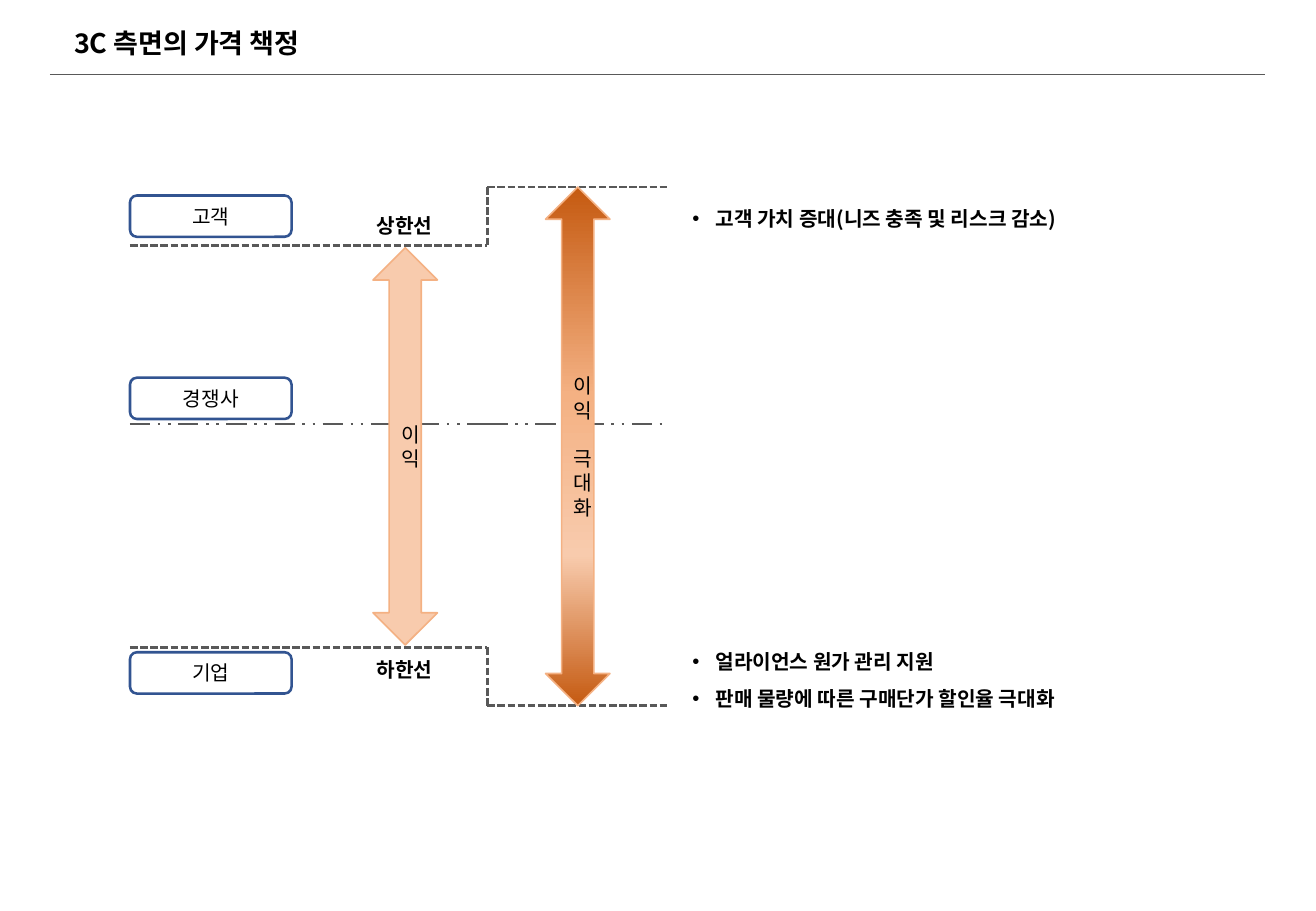
from dataclasses import dataclass

from lxml.etree import SubElement
from pptx import Presentation
from pptx.dml.color import RGBColor
from pptx.enum.dml import MSO_LINE
from pptx.enum.shapes import MSO_CONNECTOR, MSO_SHAPE
from pptx.enum.text import MSO_ANCHOR, MSO_AUTO_SIZE, PP_ALIGN
from pptx.oxml.ns import qn
from pptx.util import Emu, Inches, Pt


@dataclass(frozen=True)
class Theme:
    font: str = "Noto Sans CJK KR"
    title: float = 16
    body: float = 12
    ink: str = "000000"
    paper: str = "FFFFFF"
    rule: str = "595959"
    box: str = "325491"
    arrow: str = "F8CBAD"
    edge: str = "F4B183"
    deep: str = "C55A11"


T = Theme()
SIZE = 10.83, 7.5
COL = {"rule": 0.41, "box": 1.07, "label": 3.0, "profit": 3.07, "step": 4.01,
       "max": 4.49, "end": 5.5, "notes": 5.6, "right": 10.41}
ROW = {"rule": 0.61, "raised": 1.54, "upper": 2.02, "rival": 3.49,
       "lower": 5.33, "cut": 5.81}
BOX_W, BOX_H, ARROW_W = 1.33, 0.34, 0.53
DASH, LONG = MSO_LINE.SQUARE_DOT, MSO_LINE.DASH_DOT_DOT

TITLE = "3C 측면의 가격 책정"
LINES = [
    ("rule", "rule", "right", "rule", None),
    ("box", "upper", "step", "upper", DASH),
    ("box", "rival", "step", "rival", LONG),
    ("box", "lower", "step", "lower", DASH),
    ("step", "raised", "end", "raised", DASH),
    ("step", "cut", "end", "cut", DASH),
    ("step", "rival", "end", "rival", LONG),
    ("step", "raised", "step", "upper", DASH),
    ("step", "lower", "step", "cut", DASH),
]
BOXES = [("고객", "upper", -0.07 - BOX_H), ("경쟁사", "rival", -0.04 - BOX_H),
         ("기업", "lower", 0.04)]
LABELS = [("상한선", "upper", -0.31), ("하한선", "lower", 0.03)]
ARROWS = [
    (["이익"], "profit", "upper", "lower", 0.02, None),
    (["이익", "극대화"], "max", "raised", "cut", 0,
     [(0, T.deep), (40, T.edge), (71, T.arrow), (100, T.deep)]),
]
NOTES = [
    (["고객 가치 증대(니즈 충족 및 리스크 감소)"], 1.55, 0.37),
    (["얼라이언스 원가 관리 지원", "판매 물량에 따른 구매단가 할인율 극대화"], 5.2, 0.67),
]


def rgb(value):
    return RGBColor.from_string(value)


def write(tf, lines, size=T.body, bold=False, align=PP_ALIGN.LEFT):
    tf.text = "\n".join(lines)
    for p in tf.paragraphs:
        p.alignment = align
        for r in p.runs:
            r.font.name, r.font.size, r.font.bold = T.font, Pt(size), bold
            r.font.color.rgb = rgb(T.ink)
            SubElement(r.font._element, qn("a:ea"), typeface=T.font)


def add_text(x, y, w, h, lines, wrap):
    tf = s.shapes.add_textbox(*map(Inches, (x, y, w, h))).text_frame
    tf.word_wrap, tf.auto_size = wrap, MSO_AUTO_SIZE.SHAPE_TO_FIT_TEXT
    write(tf, lines, bold=True)
    return tf


def add_shape(kind, x, y, w, h, lines, fill, line, width):
    sp = s.shapes.add_shape(kind, *map(Inches, (x, y, w, h)))
    sp.shadow.inherit = False
    sp.fill.solid()
    sp.fill.fore_color.rgb = rgb(fill)
    sp.line.color.rgb, sp.line.width = rgb(line), Pt(width)
    sp.text_frame.vertical_anchor = MSO_ANCHOR.MIDDLE
    write(sp.text_frame, lines, align=PP_ALIGN.CENTER)
    return sp


def add_line(x1, y1, x2, y2, dash):
    cn = s.shapes.add_connector(MSO_CONNECTOR.STRAIGHT,
                                *map(Inches, (COL[x1], ROW[y1], COL[x2], ROW[y2])))
    cn.line.color.rgb, cn.line.width = rgb(T.rule), Pt(1.5 if dash else 0.25)
    if dash:
        cn.line.dash_style = dash
    SubElement(cn._element.spPr, qn("a:effectLst"))


def set_gradient(sp, stops):
    sp.fill.gradient()
    sp.fill.gradient_angle = 270
    gs_list = sp._element.spPr.find(qn("a:gradFill")).find(qn("a:gsLst"))
    for gs in list(gs_list):
        gs_list.remove(gs)
    for pos, color in stops:
        gs = SubElement(gs_list, qn("a:gs"), pos=str(pos * 1000))
        SubElement(gs, qn("a:srgbClr"), val=color)


def set_bullet(p):
    pPr = p._p.get_or_add_pPr()
    indent = Inches(0.19)
    pPr.set("marL", str(indent))
    pPr.set("indent", str(Emu(-indent)))
    SubElement(pPr, qn("a:buFont"), typeface="Arial")
    SubElement(pPr, qn("a:buChar"), char="•")
    p.line_spacing = 1.5


prs = Presentation()
prs.slide_width, prs.slide_height = map(Inches, SIZE)
s = prs.slides.add_slide(prs.slide_layouts[5])

title = s.shapes.title
title.left, title.top, title.width, title.height = map(Inches, (0.51, 0.17, 5.8, 0.37))
title.text_frame.vertical_anchor = MSO_ANCHOR.TOP
title.text_frame.auto_size = MSO_AUTO_SIZE.SHAPE_TO_FIT_TEXT
write(title.text_frame, [TITLE], T.title, True)

for line in LINES:
    add_line(*line)

for text, row, offset in BOXES:
    add_shape(MSO_SHAPE.ROUNDED_RECTANGLE, COL["box"], ROW[row] + offset, BOX_W, BOX_H,
              [text], T.paper, T.box, 1.5)

for text, row, offset in LABELS:
    add_text(COL["label"], ROW[row] + offset, 0.68, 0.3, [text], False)

for lines, col, top, bottom, gap, stops in ARROWS:
    sp = add_shape(MSO_SHAPE.UP_DOWN_ARROW, COL[col], ROW[top] + gap, ARROW_W,
                   ROW[bottom] - ROW[top] - 2 * gap, lines, T.arrow, T.edge, 1)
    for p in sp.text_frame.paragraphs[1:]:
        p.space_before = Pt(T.body * 1.2)
    if stops:
        set_gradient(sp, stops)

for lines, top, height in NOTES:
    tf = add_text(COL["notes"], top, 4.16, height, lines, True)
    for p in tf.paragraphs:
        set_bullet(p)

prs.save("out.pptx")
